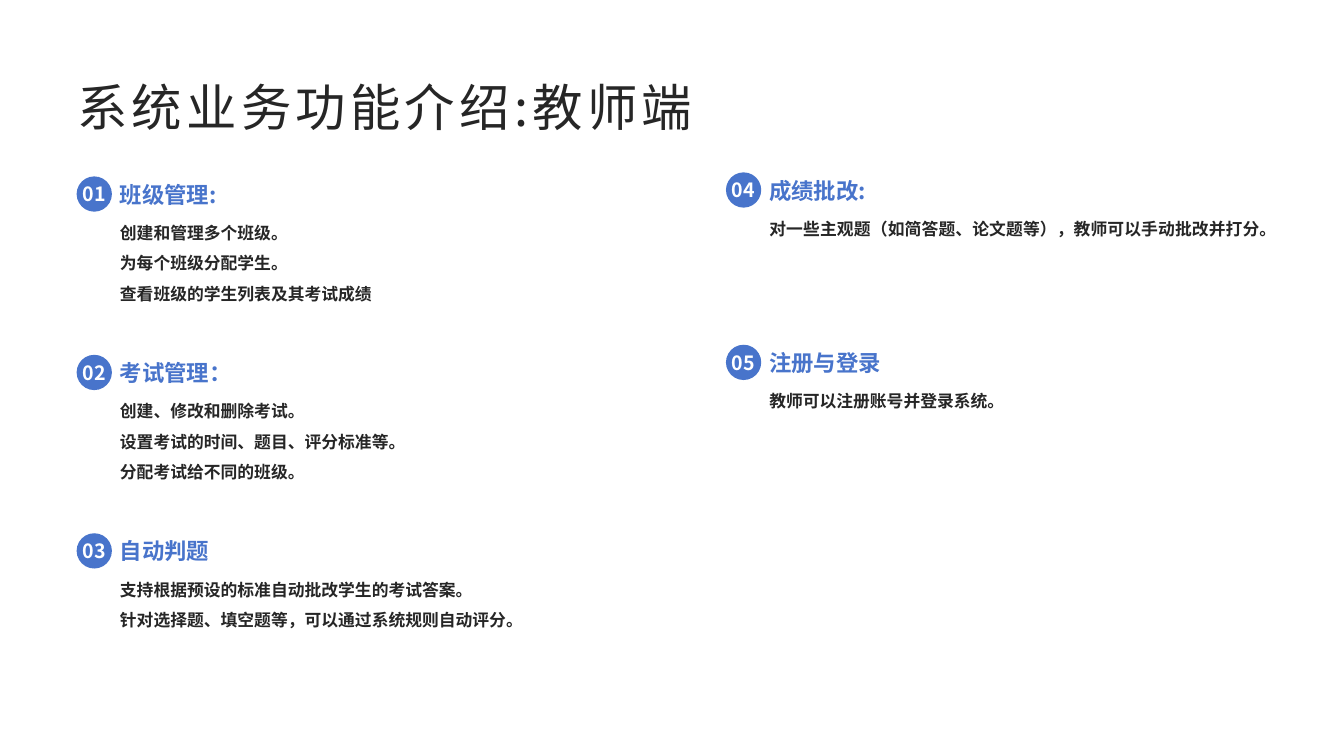
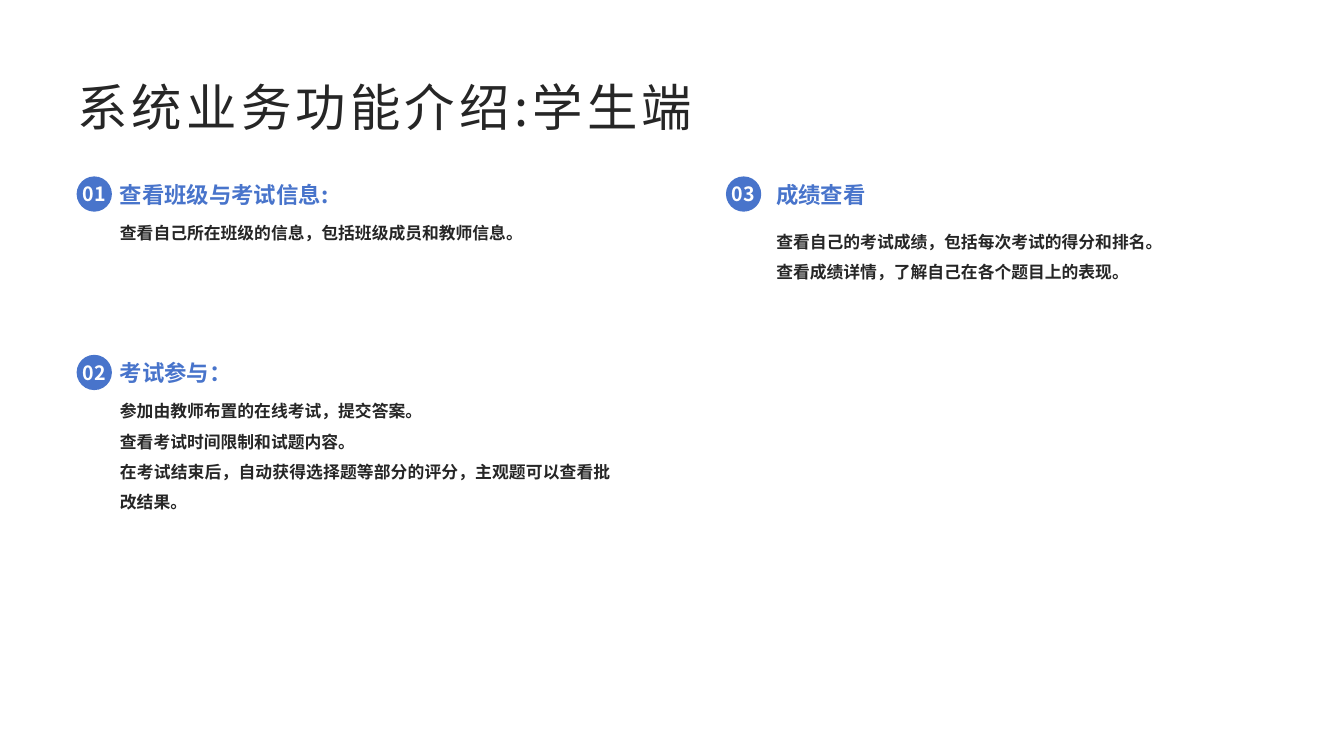
from lxml import etree
from pptx import Presentation
from pptx import util as u
from pptx.dml import color
from pptx.enum import shapes, text
from pptx.oxml import ns

FONT = "Noto Sans CJK SC"
BLUE = color.RGBColor(0x48, 0x74, 0xCB)
DARK = color.RGBColor(0x26, 0x26, 0x26)
WHITE = color.RGBColor(0xFF, 0xFF, 0xFF)

LEFT, RIGHT = 0.76, 7.2
TOP, PITCH = 1.75, 1.77
BADGE = 0.35
WIDTH = 4.87

TEACHER = [
    (LEFT, TOP, "班级管理:",
     ["创建和管理多个班级。", "为每个班级分配学生。", "查看班级的学生列表及其考试成绩"]),
    (LEFT, TOP + PITCH, "考试管理：",
     ["创建、修改和删除考试。", "设置考试的时间、题目、评分标准等。", "分配考试给不同的班级。"]),
    (LEFT, TOP + 2 * PITCH, "自动判题",
     ["支持根据预设的标准自动批改学生的考试答案。",
      "针对选择题、填空题等，可以通过系统规则自动评分。"]),
    (RIGHT, 1.71, "成绩批改:",
     ["对一些主观题（如简答题、论文题等），教师可以手动批改并打分。"]),
    (RIGHT, 3.42, "注册与登录", ["教师可以注册账号并登录系统。"]),
]
STUDENT = [
    (LEFT, TOP, "查看班级与考试信息:",
     ["查看自己所在班级的信息，包括班级成员和教师信息。"]),
    (LEFT, TOP + PITCH, "考试参与：",
     ["参加由教师布置的在线考试，提交答案。", "查看考试时间限制和试题内容。",
      "在考试结束后，自动获得选择题等部分的评分，主观题可以查看批改结果。"]),
    (RIGHT, TOP, "成绩查看",
     ["查看自己的考试成绩，包括每次考试的得分和排名。",
      "查看成绩详情，了解自己在各个题目上的表现。"], 0.5, 0.45),
]


def write(shape, lines, size, tint, bold=True, anchor=text.MSO_ANCHOR.TOP,
          align=text.PP_ALIGN.LEFT, space=1.0, track=0, inset=(0, 0), wrap=True):
    """Fill a shape with one styled run per paragraph."""
    frame = shape.text_frame
    frame.word_wrap = wrap
    frame.vertical_anchor = anchor
    frame.margin_left = frame.margin_right = u.Inches(inset[0])
    frame.margin_top = frame.margin_bottom = u.Inches(inset[1])
    for i, line in enumerate(lines):
        para = frame.add_paragraph() if i else frame.paragraphs[0]
        para.alignment = align
        para.line_spacing = space
        run = para.add_run()
        run.text = line
        font = run.font
        font.size = u.Pt(size)
        font.bold = bold
        font.color.rgb = tint
        font.name = FONT
        props = run._r.get_or_add_rPr()
        props.set("lang", "zh-CN")
        if track:
            props.set("spc", str(track * 100))
        etree.SubElement(props, ns.qn("a:ea")).set("typeface", FONT)


def add_box(slide, left, top, width, height):
    """Add an empty text box at a place given in inches."""
    return slide.shapes.add_textbox(*map(u.Inches, (left, top, width, height)))


def add_title(slide, title):
    """Place the slide title."""
    write(add_box(slide, 0.67, 0.67, 12, 0.77), [title], 36, DARK, bold=False,
          anchor=text.MSO_ANCHOR.MIDDLE, track=3, inset=(0.1, 0.05))


def add_badge(slide, left, top, label):
    """Place a numbered disc."""
    disc = slide.shapes.add_shape(
        shapes.MSO_SHAPE.OVAL, *map(u.Inches, (left, top, BADGE, BADGE)))
    disc.shadow.inherit = False
    disc.fill.solid()
    disc.fill.fore_color.rgb = BLUE
    disc.line.fill.background()
    write(disc, [label], 14, WHITE, anchor=text.MSO_ANCHOR.MIDDLE,
          align=text.PP_ALIGN.CENTER, wrap=False)


def add_item(slide, num, left, top, head, lines, indent=0.43, drop=0.36):
    """Place a badge with its heading and body."""
    tall = 1.44 if len("".join(lines)) > 60 else 0.95
    write(add_box(slide, left + indent, top + drop, WIDTH, tall), lines, 12, DARK,
          align=text.PP_ALIGN.JUSTIFY, space=1.5)
    write(add_box(slide, left + indent, top - 0.11, WIDTH, 0.42), [head], 16, BLUE,
          anchor=text.MSO_ANCHOR.BOTTOM)
    add_badge(slide, left, top, f"{num:02}")


def add_page(deck, title, items):
    """Add one slide of numbered items."""
    slide = deck.slides.add_slide(deck.slide_layouts[6])
    add_title(slide, title)
    for num, item in enumerate(items, 1):
        add_item(slide, num, *item)


def main():
    """Build and save the deck."""
    deck = Presentation()
    deck.slide_width, deck.slide_height = u.Inches(13.33), u.Inches(7.5)
    add_page(deck, "系统业务功能介绍:教师端", TEACHER)
    add_page(deck, "系统业务功能介绍:学生端", STUDENT)
    deck.save("out.pptx")


if __name__ == "__main__":
    main()
